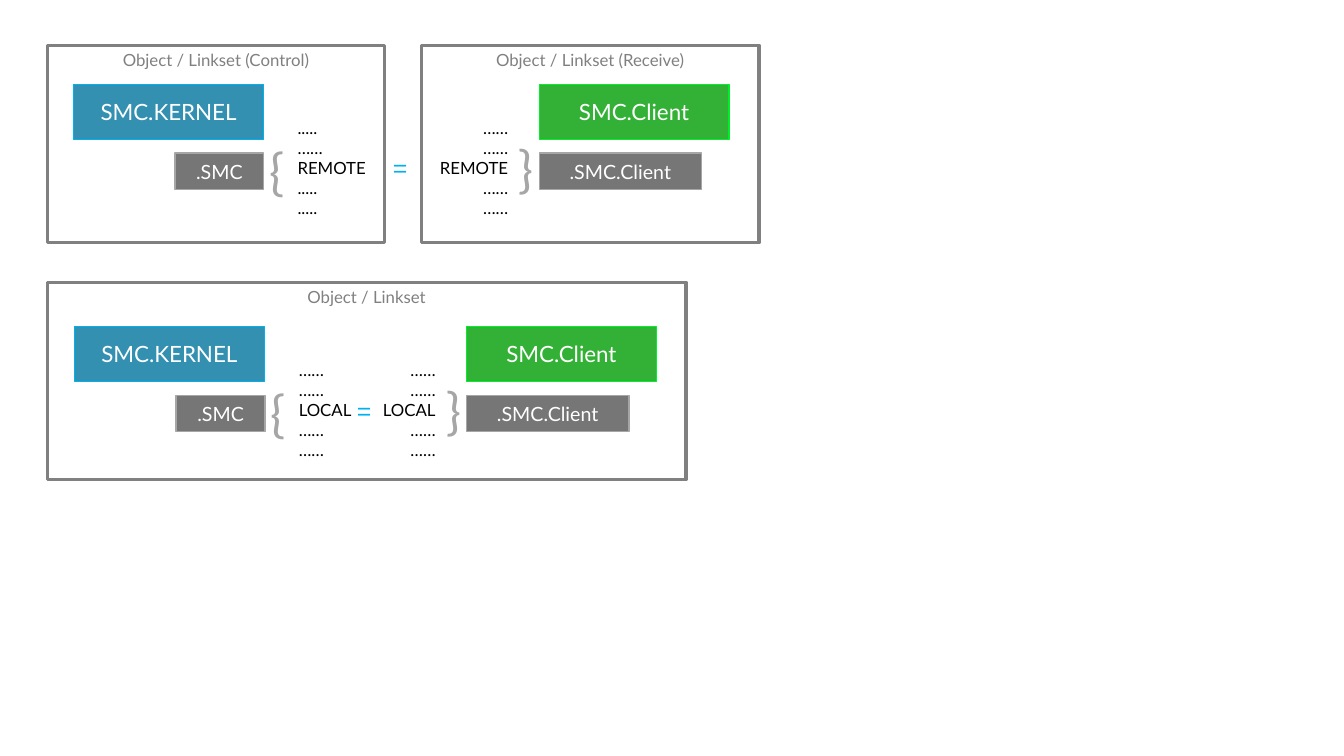
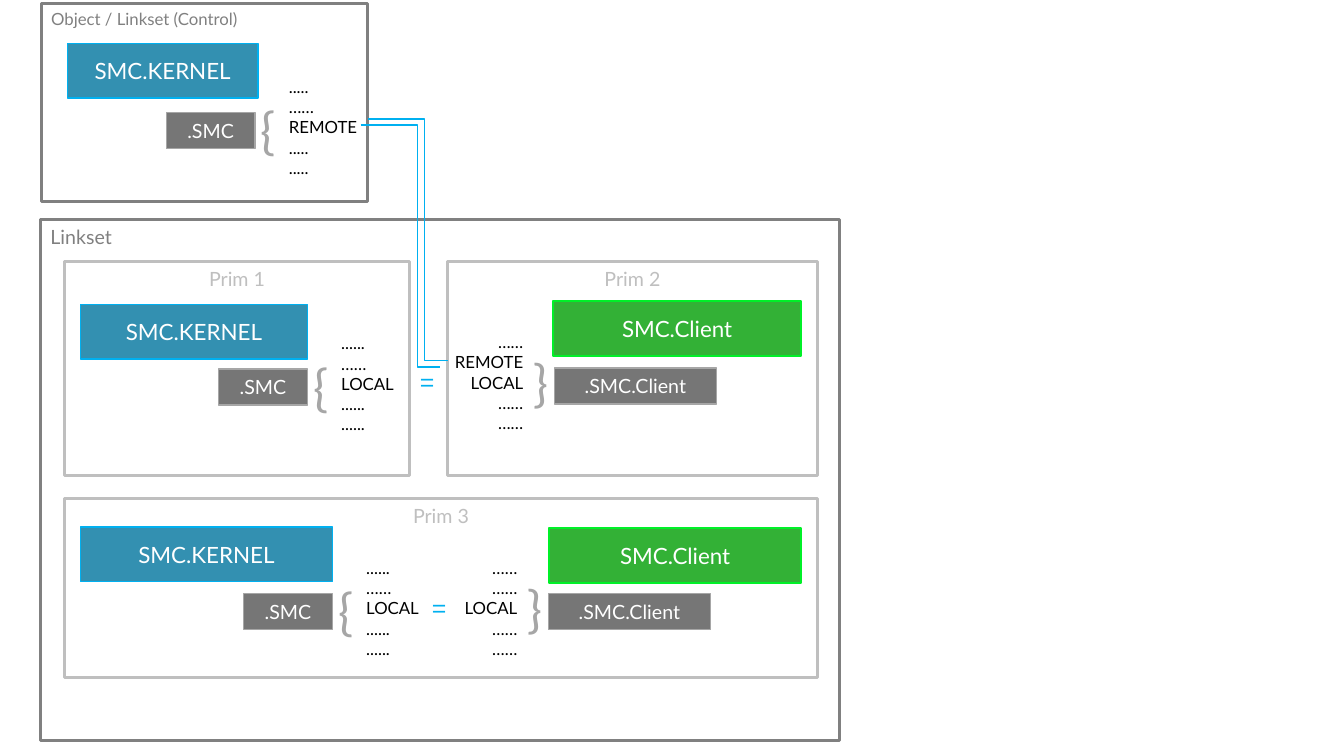
from lxml import etree
from pptx import Presentation
from pptx.dml.color import RGBColor
from pptx.enum.shapes import MSO_CONNECTOR, MSO_SHAPE
from pptx.enum.text import MSO_ANCHOR, MSO_AUTO_SIZE, PP_ALIGN
from pptx.oxml.ns import qn
from pptx.util import Cm, Pt

LEFT, CENTER, RIGHT = PP_ALIGN.LEFT, PP_ALIGN.CENTER, PP_ALIGN.RIGHT
TOP, MIDDLE = MSO_ANCHOR.TOP, MSO_ANCHOR.MIDDLE
RECT, ELBOW = MSO_SHAPE.RECTANGLE, MSO_CONNECTOR.ELBOW
FIT_SHAPE = MSO_AUTO_SIZE.SHAPE_TO_FIT_TEXT

WHITE = RGBColor(0xFF, 0xFF, 0xFF)
BLACK = RGBColor(0x00, 0x00, 0x00)
GRAY = RGBColor(0x80, 0x80, 0x80)
LIGHT_GRAY = RGBColor(0xBF, 0xBF, 0xBF)
MID_GRAY = RGBColor(0xA6, 0xA6, 0xA6)
DARK_GRAY = RGBColor(0x54, 0x54, 0x54)
BLUE = RGBColor(0x00, 0x75, 0x9E)
BRIGHT_BLUE = RGBColor(0x00, 0xB0, 0xF0)
GREEN = RGBColor(0x00, 0x9E, 0x04)
BRIGHT_GREEN = RGBColor(0x00, 0xF0, 0x28)

FONT = "Lato"
SIGN_FONT = "Noto Sans CJK SC"

# Sizes shared by all diagrams, in cm
BOX_H = 1.38
TAG_H, KERNEL_TAG_W, CLIENT_TAG_W = 0.91, 2.24, 4.09
BRACE_W, BRACE_H = 2.18, 1.8
LIST_H, REMOTE_W, LOCAL_W = 2.82, 2.26, 1.9

# Channel lists
REMOTE = [".....", "……", "REMOTE", ".....", "....."]
REMOTE_CLIENT = ["……", "……", "REMOTE", "……", "……"]
LOCAL = ["……", "……", "LOCAL", "……", "……"]
LOCAL_KERNEL = ["......", "……", "LOCAL", "......", "......"]
BOTH = ["……", "REMOTE", "LOCAL", "……", "……"]

# frames: title, left, top, width, height, colour, size, alignment, filled
# units: role, tag edge next to the brace, tag top, box left, top, width, list
# signs: left, top; links: start x, y, end x, y
SLIDES = [
    {
        "frames": [
            ("Object / Linkset", 1.19, 7.11, 16.1, 4.98, GRAY, 12, CENTER, True),
            ("Object / Linkset (Receive)", 10.62, 1.14, 8.51, 4.98, GRAY, 12, CENTER, True),
            ("Object / Linkset (Control)", 1.19, 1.14, 8.51, 4.98, GRAY, 12, CENTER, True),
        ],
        "units": [
            ("kernel", 6.65, 3.86, 1.85, 2.13, 4.8, REMOTE),
            ("client", 13.59, 3.86, 13.59, 2.13, 4.78, REMOTE_CLIENT),
            ("kernel", 6.68, 9.96, 1.88, 8.23, 4.78, LOCAL),
            ("client", 11.76, 9.96, 11.76, 8.23, 4.78, LOCAL),
        ],
        "signs": [(9.68, 3.73), (8.76, 9.86)],
        "links": [],
    },
    {
        "frames": [
            ("Linkset", 1.02, 5.54, 20.14, 13.13, GRAY, 14, LEFT, True),
            ("Prim 1", 1.63, 6.6, 8.69, 5.38, LIGHT_GRAY, 14, CENTER, False),
            ("Prim 2", 11.28, 6.6, 9.32, 5.38, LIGHT_GRAY, 14, CENTER, False),
            ("Prim 3", 1.63, 12.57, 18.97, 4.5, LIGHT_GRAY, 14, CENTER, False),
            ("Object / Linkset (Control)", 1.04, 0.1, 8.23, 4.98, GRAY, 12, LEFT, True),
        ],
        "units": [
            ("kernel", 7.75, 9.3, 2.03, 7.67, 5.72, LOCAL_KERNEL),
            ("client", 13.97, 9.27, 13.94, 7.59, 6.25, BOTH),
            ("kernel", 8.38, 14.96, 2.03, 13.28, 6.35, LOCAL_KERNEL),
            ("client", 13.82, 14.96, 13.84, 13.31, 6.35, LOCAL),
            ("kernel", 6.43, 2.84, 1.7, 1.09, 4.8, REMOTE),
        ],
        "signs": [(10.34, 9.12), (10.64, 14.83)],
        "links": [(9.09, 3.15, 11.1, 9.25), (9.27, 3, 11.28, 9.09)],
    },
]


def write(sp, lines, size, color, align, font=FONT):
    tf = sp.text_frame
    tf.text = "\n".join(lines)
    for p in tf.paragraphs:
        p.alignment = align
        for r in p.runs:
            r.font.name, r.font.size = font, Pt(size)
            r.font.color.rgb = color
    return tf


def add_box(s, x, y, w, h, fill, line, weight):
    sp = s.shapes.add_shape(RECT, Cm(x), Cm(y), Cm(w), Cm(h))
    sp.shadow.inherit = False
    sp.line.color.rgb, sp.line.width = line, Pt(weight)
    if fill is None:
        sp.fill.background()
    else:
        sp.fill.solid()
        sp.fill.fore_color.rgb = fill
        color = sp.element.spPr.find(qn("a:solidFill"))[0]
        etree.SubElement(color, qn("a:alpha"), val="80000")
    return sp


prs = Presentation()
prs.slide_width, prs.slide_height = Cm(33.87), Cm(19.05)

for slide in SLIDES:
    s = prs.slides.add_slide(prs.slide_layouts[6])

    # Frames
    for title, x, y, w, h, color, size, align, filled in slide["frames"]:
        sp = add_box(s, x, y, w, h, WHITE if filled else None, color, 2.25)
        tf = write(sp, [title], size, color, align)
        tf.vertical_anchor = TOP

    # Kernel and client units: box, tag, brace and channel list
    for role, edge, top, x, y, w, channels in slide["units"]:
        list_w = REMOTE_W if "REMOTE" in channels else LOCAL_W
        if role == "kernel":
            name, tag, fill, line = "SMC.KERNEL", ".SMC", BLUE, BRIGHT_BLUE
            tag_x, tag_w = edge - KERNEL_TAG_W, KERNEL_TAG_W
            brace_x, brace_y, turn = edge - 0.11, top - 0.46, 0
            list_x, align = edge + 0.6, LEFT
        else:
            name, tag, fill, line = "SMC.Client", ".SMC.Client", GREEN, BRIGHT_GREEN
            tag_x, tag_w = edge, CLIENT_TAG_W
            brace_x, brace_y, turn = edge - 2.07, top - 0.33, 180
            list_x, align = edge - 0.53 - list_w, RIGHT

        sp = add_box(s, x, y, w, BOX_H, fill, line, 1)
        write(sp, [name], 16, WHITE, CENTER).vertical_anchor = MIDDLE
        sp = add_box(s, tag_x, top, tag_w, TAG_H, DARK_GRAY, MID_GRAY, 1)
        write(sp, [tag], 14, WHITE, CENTER).vertical_anchor = MIDDLE

        sp = s.shapes.add_textbox(Cm(brace_x), Cm(brace_y), Cm(BRACE_W), Cm(BRACE_H))
        sp.rotation = turn
        tf = write(sp, ["{"], 36, MID_GRAY, LEFT)
        tf.word_wrap, tf.auto_size = True, FIT_SHAPE

        sp = s.shapes.add_textbox(Cm(list_x), Cm(top - 1.03), Cm(list_w), Cm(LIST_H))
        tf = write(sp, channels, 12, BLACK, align)
        tf.word_wrap, tf.auto_size = False, FIT_SHAPE

    # Equals signs
    for x, y in slide["signs"]:
        sp = s.shapes.add_textbox(Cm(x), Cm(y), Cm(0.94), Cm(1.02))
        tf = write(sp, ["="], 18, BRIGHT_BLUE, LEFT, SIGN_FONT)
        tf.word_wrap, tf.auto_size = False, FIT_SHAPE

    # Double link from the control object to the second prim
    for x1, y1, x2, y2 in slide["links"]:
        link = s.shapes.add_connector(ELBOW, Cm(x1), Cm(y1), Cm(x2), Cm(y2))
        link.line.color.rgb, link.line.width = BRIGHT_BLUE, Pt(1)
        spPr = link.element.spPr
        etree.SubElement(spPr, qn("a:effectLst"))
        guides = spPr.find(qn("a:prstGeom")).find(qn("a:avLst"))
        etree.SubElement(guides, qn("a:gd"), name="adj1", fmla="val 70900")

prs.save("out.pptx")
